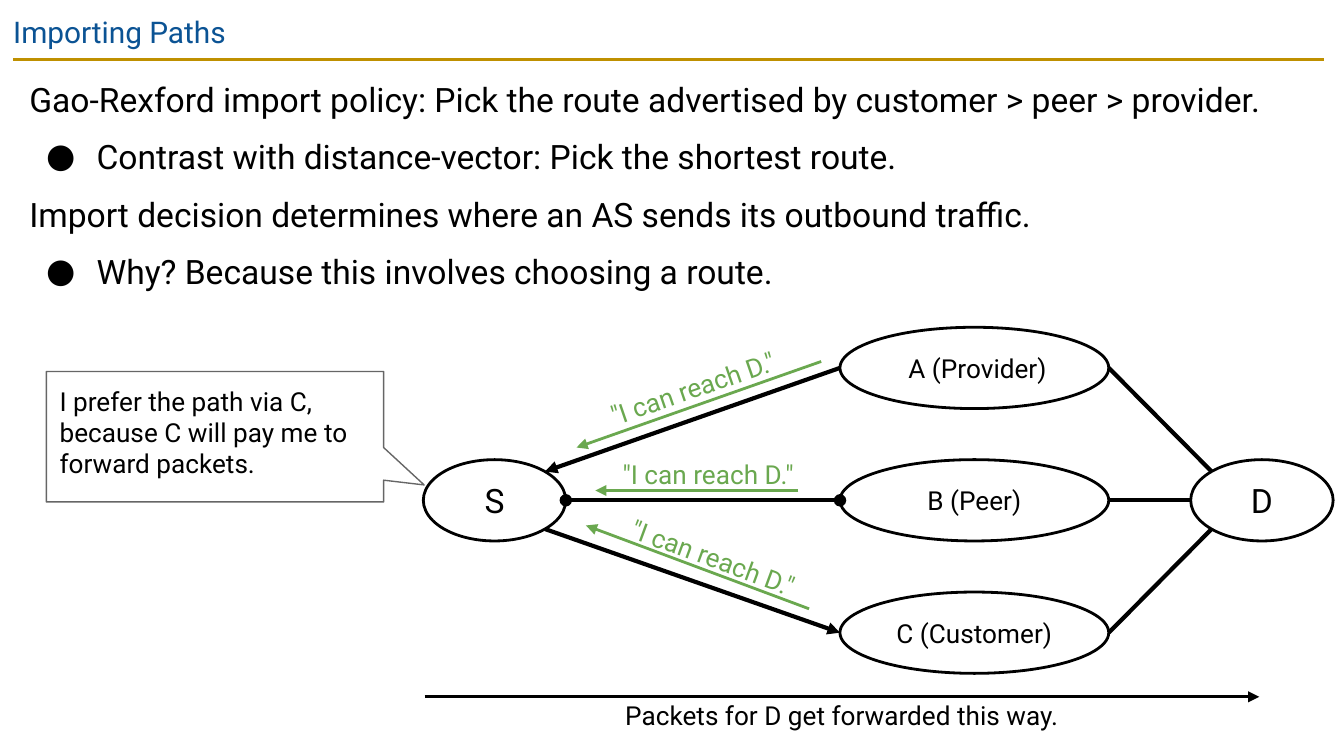
from lxml import etree
from pptx import Presentation
from pptx.dml.color import RGBColor
from pptx.enum.shapes import MSO_CONNECTOR, MSO_SHAPE
from pptx.enum.text import MSO_ANCHOR, PP_ALIGN
from pptx.oxml.ns import qn
from pptx.util import Pt

PX = 4572
STRAIGHT = MSO_CONNECTOR.STRAIGHT
ELLIPSE = MSO_SHAPE.OVAL
CALLOUT = MSO_SHAPE.ROUNDED_RECTANGULAR_CALLOUT
TOP, MIDDLE = MSO_ANCHOR.TOP, MSO_ANCHOR.MIDDLE
LEFT, CENTER = PP_ALIGN.LEFT, PP_ALIGN.CENTER
BLACK = RGBColor(0x00, 0x00, 0x00)
WHITE = RGBColor(0xFF, 0xFF, 0xFF)
GRAY = RGBColor(0x66, 0x66, 0x66)
BLUE = RGBColor(0x0B, 0x53, 0x94)
GOLD = RGBColor(0xBF, 0x90, 0x00)
GREEN = RGBColor(0x6A, 0xA8, 0x4F)
FONT = "Roboto"
INSET = 20
NODE_HEIGHT, END_WIDTH, NEIGHBOR_WIDTH = 121, 212, 400
DIAGONAL = 0.5 ** 0.5


def scaled(*lengths):
    return [round(length * PX) for length in lengths]


def style_runs(paragraph, size, color):
    for run in paragraph.runs:
        run.font.name = FONT
        run.font.size = Pt(size)
        run.font.color.rgb = color


def write(shape, text, size, color=BLACK, align=LEFT, anchor=TOP, inset=INSET):
    frame = shape.text_frame
    frame.word_wrap = True
    frame.vertical_anchor = anchor
    frame.margin_left = frame.margin_right = inset * PX
    frame.margin_top = frame.margin_bottom = inset * PX
    frame.text = text
    for paragraph in frame.paragraphs:
        paragraph.alignment = align
        style_runs(paragraph, size, color)


def add_label(slide, box, text, size, color=BLACK, align=LEFT, inset=INSET):
    label = slide.shapes.add_textbox(*scaled(*box))
    write(label, text, size, color, align, inset=inset)
    return label


def add_outlined(slide, kind, box, color, width):
    shape = slide.shapes.add_shape(kind, *scaled(*box))
    shape.shadow.inherit = False
    shape.fill.solid()
    shape.fill.fore_color.rgb = WHITE
    shape.line.color.rgb = color
    shape.line.width = Pt(width)
    return shape


def add_line(slide, start, end, color, width, head=None, tail=None):
    line = slide.shapes.add_connector(STRAIGHT, *scaled(*start, *end))
    line.line.color.rgb = color
    line.line.width = Pt(width)
    outline = line.line._ln
    for tag, kind in (("a:headEnd", head), ("a:tailEnd", tail)):
        if kind:
            etree.SubElement(outline, qn(tag)).set("type", kind)
    etree.SubElement(line._element.spPr, qn("a:effectLst"))


def add_title(slide, box, text):
    left, top, width, height = box
    add_label(slide, (left, top, 1864, height), text, 16, BLUE)
    rule_y = top + height + 2
    add_line(slide, (left + 20, rule_y), (left + width, rule_y), GOLD, 1.5)


def add_bullet(paragraph, size):
    properties = paragraph._p.get_or_add_pPr()
    properties.set("marL", str(100 * PX))
    properties.set("indent", str(-75 * PX))
    color = etree.SubElement(properties, qn("a:buClr"))
    etree.SubElement(color, qn("a:srgbClr")).set("val", str(BLACK))
    etree.SubElement(properties, qn("a:buSzPts")).set("val", str(size * 100))
    etree.SubElement(properties, qn("a:buFont")).set("typeface", FONT)
    etree.SubElement(properties, qn("a:buChar")).set("char", "●")


def add_body(slide, box, items):
    body = add_label(slide, box, "\n".join(text for text, _ in items), 18)
    for index, (_, bulleted) in enumerate(items):
        paragraph = body.text_frame.paragraphs[index]
        paragraph.line_spacing = 1.15
        paragraph.space_before = Pt(6 if index else 0)
        if bulleted:
            add_bullet(paragraph, 18)


def add_callout(slide, box, text):
    callout = add_outlined(slide, CALLOUT, box, GRAY, 0.75)
    for index, value in enumerate((0.62, 0.37, 0)):
        callout.adjustments[index] = value
    write(callout, text, 14)


def add_node(slide, box, text, size):
    node = add_outlined(slide, ELLIPSE, box, BLACK, 1.5)
    write(node, text, size, align=CENTER, anchor=MIDDLE)


def rim_point(box, across, down):
    left, top, width, height = box
    reach = DIAGONAL if across and down else 1
    return (left + width / 2 * (1 + across * reach),
            top + height / 2 * (1 + down * reach))


def add_topology(slide, box):
    left, top, width, height = box
    pitch = (height - NODE_HEIGHT) // 2
    source = (left, top + pitch, END_WIDTH, NODE_HEIGHT)
    destination = (left + width - END_WIDTH, top + pitch, END_WIDTH, NODE_HEIGHT)
    add_node(slide, source, "S", 18)
    add_node(slide, destination, "D", 18)
    neighbors = (
        (" A (Provider)", -1, None, "triangle", True),
        ("B (Peer)", 0, "oval", "oval", False),
        ("C (Customer)", 1, None, "triangle", False),
    )
    for row, (name, down, head, tail, toward_source) in enumerate(neighbors):
        neighbor = (left + 620, top + row * pitch, NEIGHBOR_WIDTH, NODE_HEIGHT)
        add_node(slide, neighbor, name, 14)
        ends = [rim_point(source, 1, down), rim_point(neighbor, -1, 0)]
        if toward_source:
            ends.reverse()
        add_line(slide, *ends, BLACK, 2.25, head, tail)
        add_line(slide, rim_point(destination, -1, down),
                 rim_point(neighbor, 1, 0), BLACK, 2.25)


def add_advertisements(slide, box):
    left, top, _, _ = box
    advertisements = (
        ((592, 51), (228, 179), (248, 67), 341),
        ((558, 243), (256, 243), (271, 195), 0),
        ((574, 419), (242, 295), (278, 319), 20.2),
    )
    for start, end, corner, angle in advertisements:
        start, end, corner = [(left + x, top + y) for x, y in (start, end, corner)]
        add_line(slide, start, end, GREEN, 1.5, tail="triangle")
        label = add_label(slide, (*corner, 306, 48), '"I can reach D."', 14,
                          GREEN, CENTER, inset=0)
        label.rotation = angle


def add_direction(slide, box, text):
    left, top, width, height = box
    add_line(slide, (left, top), (left + width, top), BLACK, 1.5, tail="triangle")
    add_label(slide, (left, top + 4, width, height - 4), text, 14,
              align=CENTER, inset=0)


def main():
    presentation = Presentation()
    presentation.slide_width, presentation.slide_height = scaled(2000, 1125)
    slide = presentation.slides.add_slide(presentation.slide_layouts[6])
    add_title(slide, (0, 0, 1970, 86), "Importing Paths")
    add_body(slide, (24, 88, 1948, 384), (
        ("Gao-Rexford import policy: Pick the route advertised by "
         "customer > peer > provider.", False),
        ("Contrast with distance-vector: Pick the shortest route.", True),
        ("Import decision determines where an AS sends its outbound traffic.", False),
        ("Why? Because this involves choosing a route.", True),
    ))
    diagram = (630, 487, 1354, 515)
    add_topology(slide, diagram)
    add_advertisements(slide, diagram)
    add_callout(slide, (69, 553, 502, 194),
                "I prefer the path via C, because C will pay me to forward packets.")
    add_direction(slide, (632, 1037, 1242, 52), "Packets for D get forwarded this way.")
    presentation.save("out.pptx")


if __name__ == "__main__":
    main()
